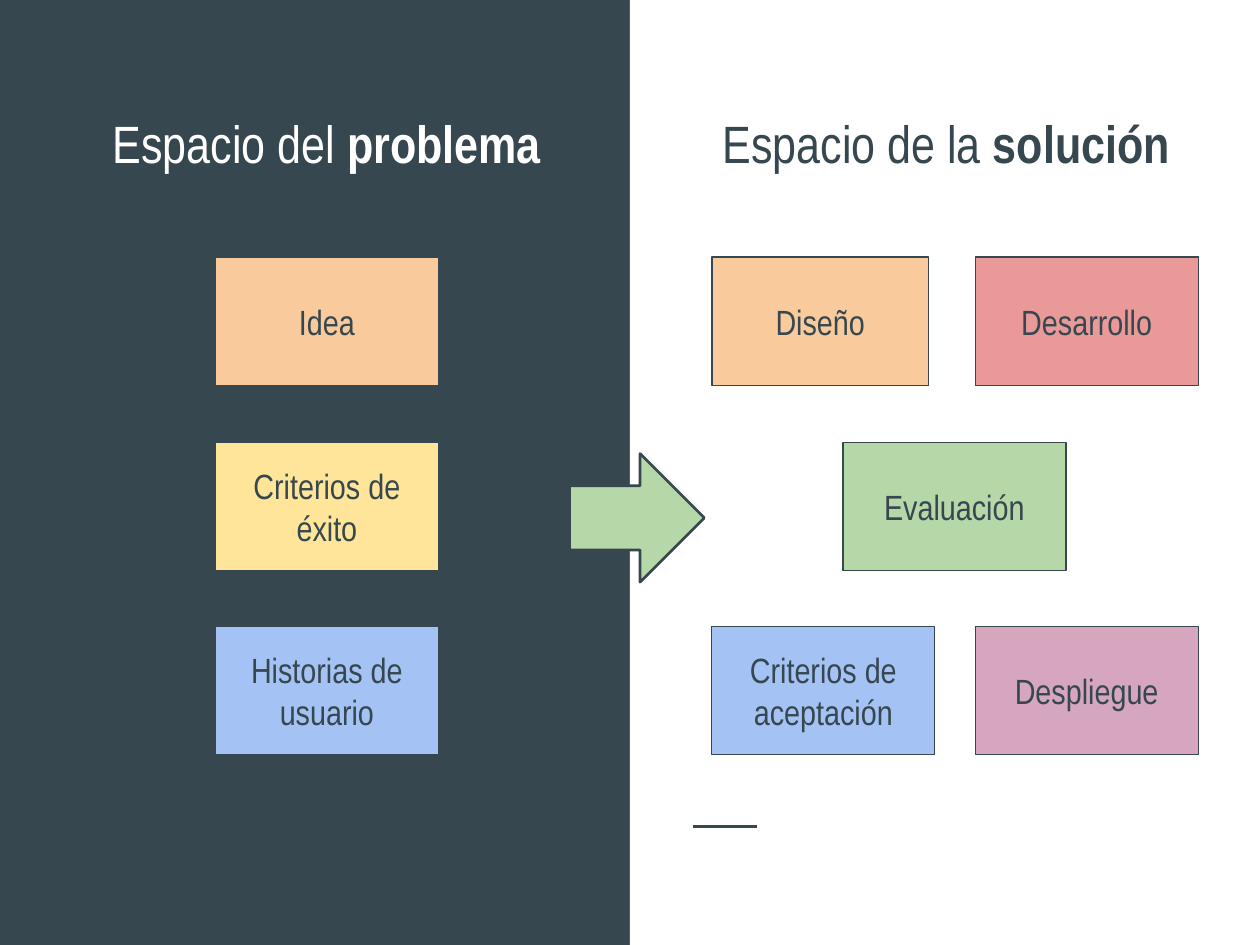
from pptx import Presentation
from pptx.dml.color import RGBColor
from pptx.enum.shapes import MSO_CONNECTOR, MSO_SHAPE
from pptx.enum.text import MSO_ANCHOR, MSO_AUTO_SIZE, PP_ALIGN
from pptx.oxml.ns import qn
from pptx.util import Inches, Pt
from lxml import etree

RECTANGLE = MSO_SHAPE.RECTANGLE
RIGHT_ARROW = MSO_SHAPE.RIGHT_ARROW
STRAIGHT = MSO_CONNECTOR.STRAIGHT
MIDDLE, BOTTOM = MSO_ANCHOR.MIDDLE, MSO_ANCHOR.BOTTOM
CENTER = PP_ALIGN.CENTER
NO_AUTO_SIZE = MSO_AUTO_SIZE.NONE

SLATE, WHITE = "37474F", "FFFFFF"
ORANGE, YELLOW, BLUE = "F9CB9C", "FFE599", "A4C2F4"
RED, GREEN, PINK = "EA9999", "B6D7A8", "D5A6BD"
COMPARISON_LAYOUT = 4


def color(value):
    return RGBColor.from_string(value)


def write_text(shape, runs, size=20, ink=SLATE, anchor=MIDDLE, font="Arial Narrow"):
    frame = shape.text_frame
    frame.word_wrap = True
    frame.auto_size = NO_AUTO_SIZE
    frame.vertical_anchor = anchor
    frame.margin_left = frame.margin_right = Inches(0.1)
    frame.margin_top = frame.margin_bottom = Inches(0.1)
    paragraph = frame.paragraphs[0]
    paragraph.alignment = CENTER
    paragraph.line_spacing = 1.0
    paragraph.space_before = Pt(0)
    for text, bold in runs:
        run = paragraph.add_run()
        run.text = text
        run.font.name = font
        run.font.size = Pt(size)
        run.font.bold = bold
        run.font.color.rgb = color(ink)


class SlideBuilder:
    def __init__(self, slide):
        self.slide = slide
        slide.background.fill.solid()
        slide.background.fill.fore_color.rgb = color(SLATE)

    def keep_placeholders(self, indexes):
        for placeholder in list(self.slide.placeholders):
            if placeholder.placeholder_format.idx not in indexes:
                placeholder.element.getparent().remove(placeholder.element)

    def heading(self, index, left, width, plain, strong, ink):
        shape = self.slide.placeholders[index]
        shape.left, shape.top = Inches(left), Inches(0.65)
        shape.width, shape.height = Inches(width), Inches(0.83)
        write_text(shape, [(plain, False), (strong, True)], size=30, ink=ink, anchor=BOTTOM)

    def shape(self, kind, left, top, width, height, fill, line_width=0):
        shape = self.slide.shapes.add_shape(
            kind, Inches(left), Inches(top), Inches(width), Inches(height))
        shape.shadow.inherit = False
        shape.fill.solid()
        shape.fill.fore_color.rgb = color(fill)
        if line_width:
            shape.line.color.rgb = color(SLATE)
            shape.line.width = Pt(line_width)
        else:
            shape.line.fill.background()
        return shape

    def panel(self, left, top, width, height, fill):
        shape = self.shape(RECTANGLE, left, top, width, height, fill)
        shape.element.getparent().insert(2, shape.element)

    def box(self, text, left, top, fill, width=1.77):
        shape = self.shape(RECTANGLE, left, top, width, 1.02, fill, line_width=0.75)
        write_text(shape, [(text, False)])

    def rule(self, left, top, width):
        line = self.slide.shapes.add_connector(
            STRAIGHT, Inches(left), Inches(top), Inches(left + width), Inches(top))
        line.line.color.rgb = color(SLATE)
        line.line.width = Pt(1.5)
        etree.SubElement(line.element.spPr, qn("a:effectLst"))


presentation = Presentation()
presentation.slide_width = Inches(10)
presentation.slide_height = Inches(7.5)
layout = presentation.slide_layouts[COMPARISON_LAYOUT]
builder = SlideBuilder(presentation.slides.add_slide(layout))

builder.keep_placeholders({0, 1})
builder.panel(5, 0, 5, 7.5, WHITE)
builder.rule(5.5, 6.56, 0.51)
builder.heading(0, 0.34, 4.51, "Espacio del ", "problema", WHITE)
builder.heading(1, 5.2, 4.62, "Espacio de la ", "solución", SLATE)

rows = [2.04, 3.51, 4.97]
problem_steps = [("Idea", ORANGE), ("Criterios de éxito", YELLOW), ("Historias de usuario", BLUE)]
for top, (text, fill) in zip(rows, problem_steps):
    builder.box(text, 1.71, top, fill)

builder.shape(RIGHT_ARROW, 4.52, 3.6, 1.07, 1.02, GREEN, line_width=1.5)

first_row, middle_row, last_row = rows
builder.box("Diseño", 5.65, first_row, ORANGE, width=1.72)
builder.box("Desarrollo", 7.74, first_row, RED)
builder.box("Evaluación", 6.69, middle_row, GREEN)
builder.box("Criterios de aceptación", 5.65, last_row, BLUE)
builder.box("Despliegue", 7.74, last_row, PINK)

presentation.save("out.pptx")
